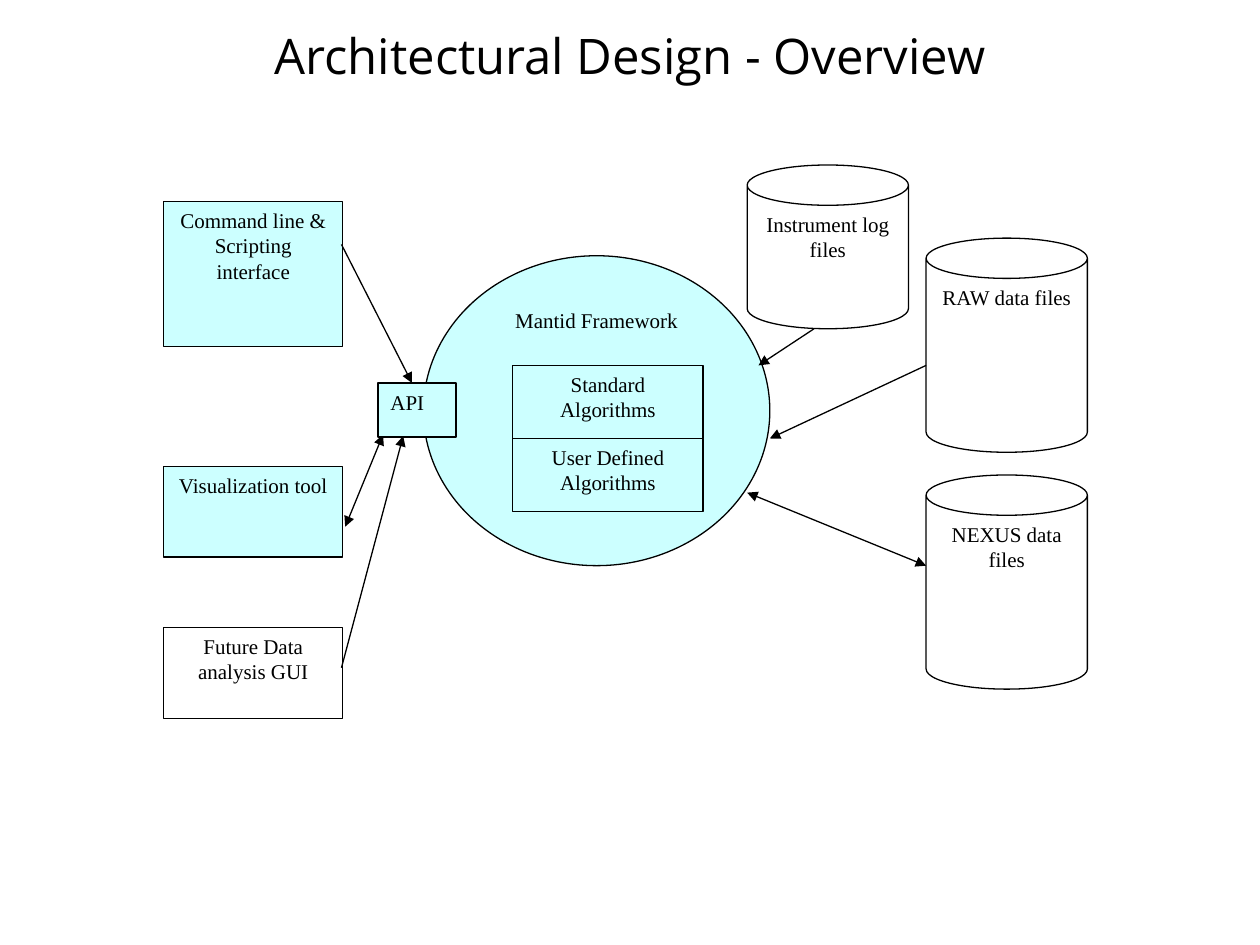
from lxml import etree
from pptx import Presentation
from pptx.dml.color import RGBColor
from pptx.enum import shapes, text
from pptx.oxml.ns import qn
from pptx.util import Inches, Pt

COLORS = {"ink": "000000", "mantid": "CCFFFF", "external": "FFFFFF"}
RECT = shapes.MSO_SHAPE.RECTANGLE
CAN = shapes.MSO_SHAPE.CAN
OVAL = shapes.MSO_SHAPE.OVAL
CENTER = text.PP_ALIGN.CENTER
LEFT = text.PP_ALIGN.LEFT


def color(name):
    return RGBColor.from_string(COLORS[name])


def add_component(label, kind, fill, left, top, width, height, align=CENTER):
    """Add an outlined component with its label at the top."""
    component = diagram.shapes.add_shape(
        kind, Inches(left), Inches(top), Inches(width), Inches(height))
    component.shadow.inherit = False
    component.fill.solid()
    component.fill.fore_color.rgb = color(fill)
    component.line.color.rgb = color("ink")
    component.line.width = Pt(0.75)
    frame = component.text_frame
    frame.word_wrap = True
    frame.vertical_anchor = text.MSO_ANCHOR.TOP
    paragraph = frame.paragraphs[0]
    paragraph.alignment = align
    run = paragraph.add_run()
    run.text = label
    run.font.name = "Times New Roman"
    run.font.size = Pt(12)
    run.font.color.rgb = color("ink")


prs = Presentation()
prs.slide_width = Inches(10)
prs.slide_height = Inches(7.5)
slide = prs.slides.add_slide(prs.slide_layouts[5])

title = slide.shapes.title
title.left, title.top = Inches(0.5), Inches(-0.19)
title.width, title.height = Inches(9), Inches(1.25)
title.text_frame.vertical_anchor = text.MSO_ANCHOR.MIDDLE
heading = title.text_frame.paragraphs[0]
heading.alignment = CENTER
heading_run = heading.add_run()
heading_run.text = "Architectural Design - Overview"
heading_run.font.name = "Open Sans"
heading_run.font.size = Pt(28)
heading_run.font.color.rgb = color("ink")

diagram = slide.shapes.add_group_shape()

add_component("Mantid Framework", OVAL, "mantid", 3.36, 2.03, 2.75, 2.46)

clients = [
    ("Command line & Scripting interface", "mantid", 1.6, 1.15),
    ("Visualization tool", "mantid", 3.7, 0.72),
    ("Future Data analysis GUI", "external", 4.98, 0.72),
]
for label, fill, top, height in clients:
    add_component(label, RECT, fill, 1.3, top, 1.42, height)

data_stores = [
    ("Instrument log files", 5.93, 1.31, 1.3),
    ("RAW data files", 7.35, 1.89, 1.7),
    ("NEXUS data files", 7.35, 3.77, 1.7),
]
for label, left, top, height in data_stores:
    add_component(label, CAN, "external", left, top, 1.28, height)

# Start x, y, end x, y, arrowheads
data_flows = [
    (7.35, 2.9, 6.11, 3.48, ["tailEnd"]),
    (7.35, 4.49, 5.93, 3.91, ["headEnd", "tailEnd"]),
    (6.46, 2.61, 6.02, 2.9, ["tailEnd"]),
    (2.71, 1.94, 3.27, 3.04, ["tailEnd"]),
    (2.74, 4.18, 3.04, 3.45, ["headEnd", "tailEnd"]),
    (2.71, 5.3, 3.2, 3.46, ["tailEnd"]),
]
for x1, y1, x2, y2, arrowheads in data_flows:
    flow = diagram.shapes.add_connector(
        shapes.MSO_CONNECTOR.STRAIGHT,
        Inches(x1), Inches(y1), Inches(x2), Inches(y2))
    flow.line.color.rgb = color("ink")
    flow.line.width = Pt(0.75)
    outline = flow.line._get_or_add_ln()
    for end in arrowheads:
        etree.SubElement(outline, qn(f"a:{end}"), type="triangle")
    etree.SubElement(flow._element.spPr, qn("a:effectLst"))

add_component("API", RECT, "mantid", 3, 3.04, 0.62, 0.43, LEFT)
for row, label in enumerate(["Standard Algorithms", "User Defined Algorithms"]):
    add_component(label, RECT, "mantid", 4.07, 2.9 + row * 0.58, 1.51, 0.58)

prs.save("out.pptx")
